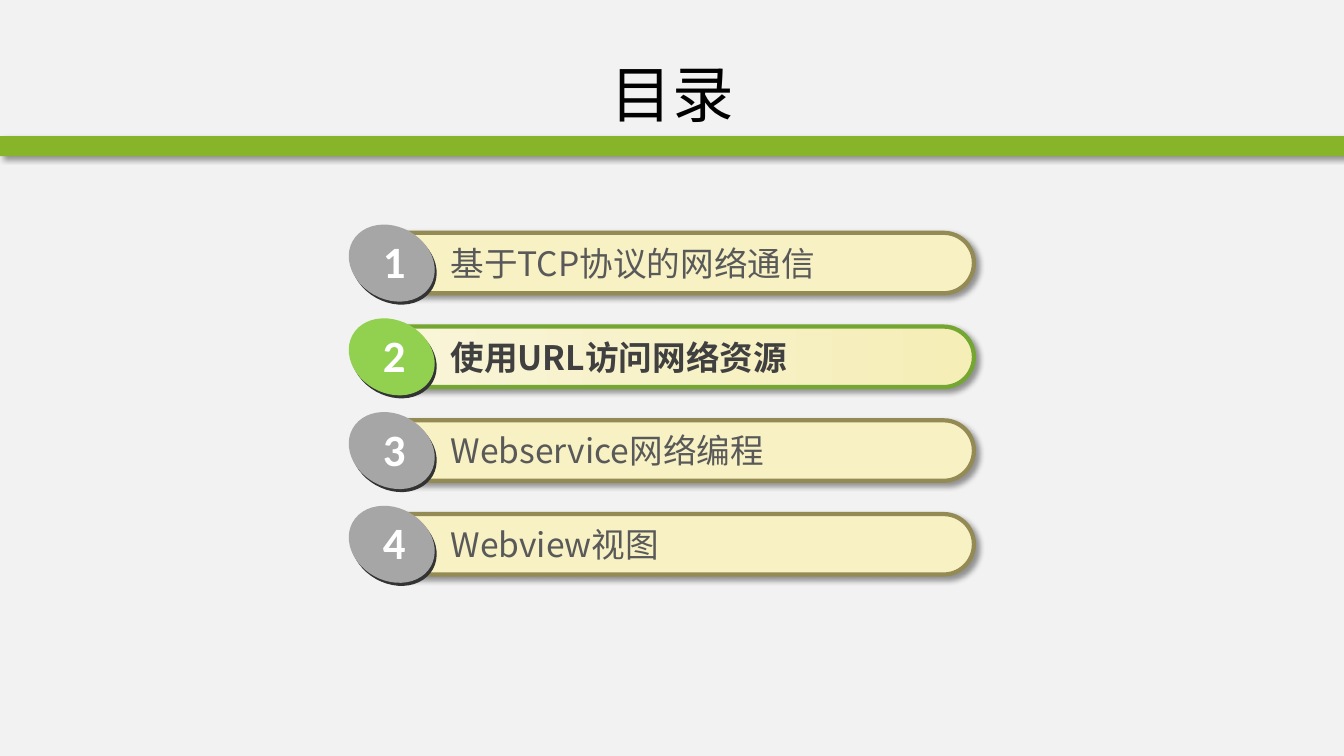
import pptx
import pptx.dml.color
import pptx.enum.shapes
import pptx.enum.text
import pptx.oxml
import pptx.oxml.ns
import pptx.util

Inches = pptx.util.Inches
SHAPES = pptx.enum.shapes.MSO_SHAPE
TEXT_FONT = "Noto Sans CJK SC"
ENTRIES = ["基于TCP协议的网络通信", "使用URL访问网络资源", "Webservice网络编程", "Webview视图"]
CURRENT_ENTRY = 2
ROW_PITCH = 0.93

SHADOW = (
    '<a:outerShdw xmlns:a="http://schemas.openxmlformats.org/drawingml/2006/main" '
    'blurRad="50800" dist="38100" dir="2700000" algn="tl" rotWithShape="0">'
    '<a:srgbClr val="000000"><a:alpha val="40000"/></a:srgbClr></a:outerShdw>'
)


def color(hex_string):
    return pptx.dml.color.RGBColor.from_string(hex_string)


def add_filled_shape(shapes, kind, left, top, width, height, fill, shadow=False):
    shape = shapes.add_shape(kind, Inches(left), Inches(top), Inches(width), Inches(height))
    shape.fill.solid()
    shape.fill.fore_color.rgb = color(fill)
    shape.line.fill.background()
    shape.shadow.inherit = False
    if shadow:
        effects = shape._element.spPr.find(pptx.oxml.ns.qn("a:effectLst"))
        effects.append(pptx.oxml.parse_xml(SHADOW))
    return shape


def format_text(text_frame, text, size, font_name, hex_color, bold=False):
    text_frame.text = text
    run = text_frame.paragraphs[0].runs[0]
    run.font.size = pptx.util.Pt(size)
    run.font.bold = bold
    run.font.color.rgb = color(hex_color)
    run.font.name = font_name
    east_asian = run._r.get_or_add_rPr().makeelement(
        pptx.oxml.ns.qn("a:ea"), {"typeface": font_name})
    run._r.rPr.append(east_asian)


def add_label(shapes, left, top, width, height, wrap, *text_style):
    box = shapes.add_textbox(Inches(left), Inches(top), Inches(width), Inches(height))
    box.text_frame.word_wrap = wrap
    box.text_frame.auto_size = pptx.enum.text.MSO_AUTO_SIZE.SHAPE_TO_FIT_TEXT
    format_text(box.text_frame, *text_style)


def add_header(slide, left, top, width):
    # Green band under the title
    add_filled_shape(slide.shapes, SHAPES.RECTANGLE, left, top + 1.35, width, 0.2,
                     "88B429", shadow=True)

    # Centred title
    title = slide.shapes.title
    title.left, title.top = Inches(left + 0.67), Inches(top + 0.3)
    title.width, title.height = Inches(12), Inches(1.25)
    title.text_frame.vertical_anchor = pptx.enum.text.MSO_ANCHOR.MIDDLE
    format_text(title.text_frame, "目录", 44, TEXT_FONT, "000000")
    title.text_frame.paragraphs[0].alignment = pptx.enum.text.PP_ALIGN.CENTER


def add_entry(slide, left, top, number, text, current):
    shapes = slide.shapes.add_group_shape().shapes

    # Pill
    pill = add_filled_shape(shapes, SHAPES.ROUNDED_RECTANGLE, left + 0.22, top + 0.06,
                            6, 0.6, "F7F1C4", shadow=True)
    pill.adjustments[0] = 0.5
    pill.line.color.rgb = color("74A731" if current else "948A54")
    pill.line.width = pptx.util.Pt(3)
    if current:
        pill.fill.gradient()
        pill.fill.gradient_angle = 0
        for stop, stop_color in zip(pill.fill.gradient_stops, ("F9F5D9", "F5EEB7")):
            stop.color.rgb = color(stop_color)
    add_label(shapes, left + 0.93, top + 0.11, 5.09, 0.51, True,
              text, 24, TEXT_FONT, "404040" if current else "595959", current)

    # Tilted badge over its dark edge
    badge_color = "92D050" if current else "A6A6A6"
    for offset, fill in ((0.02, "333333"), (0, badge_color)):
        badge = add_filled_shape(shapes, SHAPES.OVAL, left + offset, top + 1.5 * offset,
                                 0.89, 0.72, fill)
        badge.rotation = 29.3
    add_label(shapes, left + 0.26, top + 0.02, 0.43, 0.64, False,
              str(number), 32, "Calibri", "FFFFFF", True)


def add_contents(slide, left, top):
    for number, text in enumerate(ENTRIES, start=1):
        add_entry(slide, left, top + (number - 1) * ROW_PITCH, number, text,
                  number == CURRENT_ENTRY)


def main():
    presentation = pptx.Presentation()
    presentation.slide_width = Inches(13.33)
    presentation.slide_height = Inches(7.5)
    slide = presentation.slides.add_slide(presentation.slide_layouts[5])
    slide.background.fill.solid()
    slide.background.fill.fore_color.rgb = color("F2F2F2")
    add_header(slide, 0, 0, 13.33)
    add_contents(slide, 3.44, 2.25)
    presentation.save("out.pptx")


if __name__ == "__main__":
    main()
